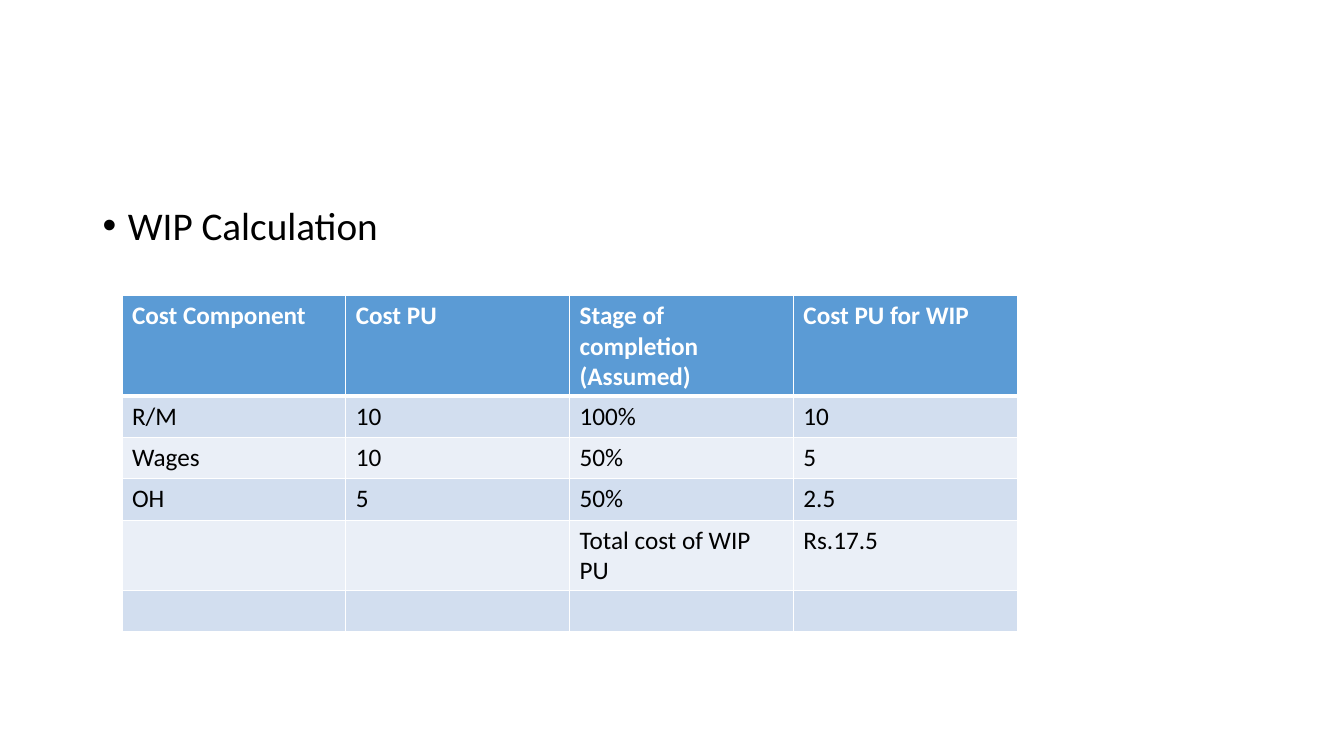
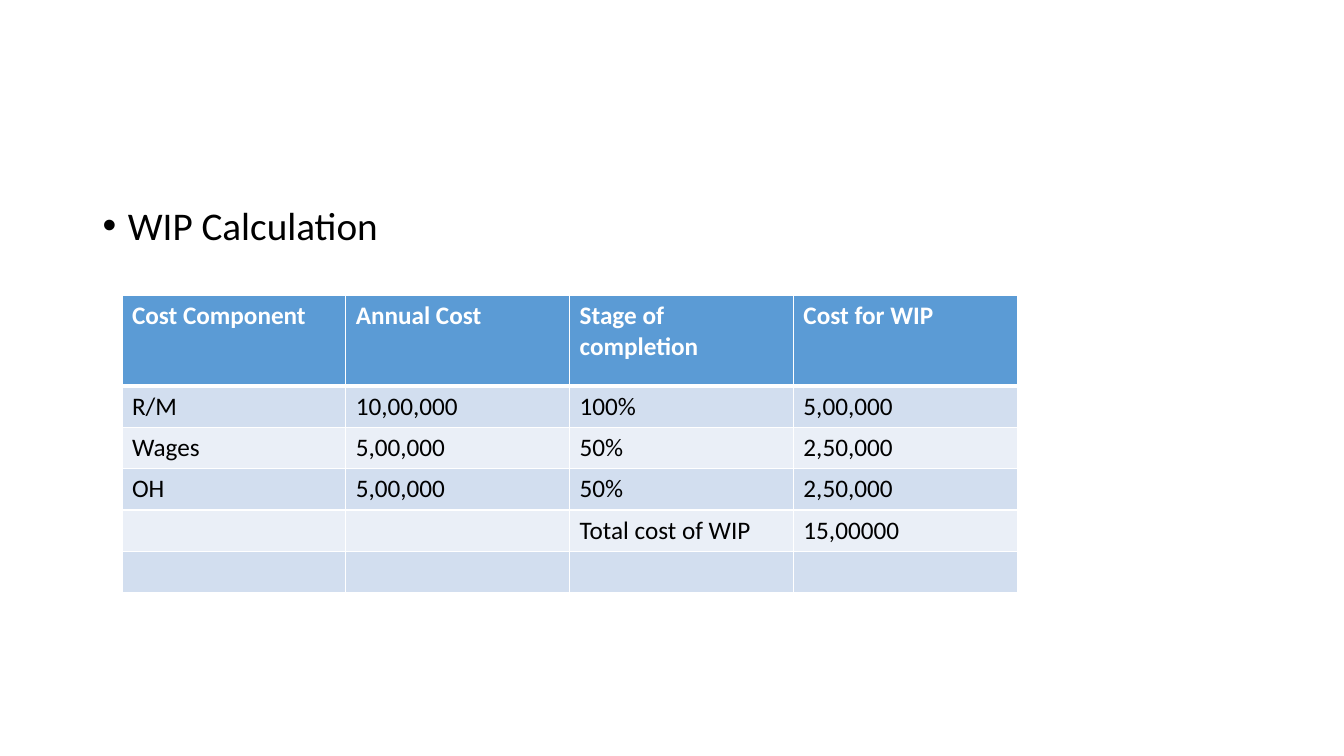
from lxml import etree
from pptx import Presentation
from pptx import util as u
from pptx.dml.color import RGBColor
from pptx.oxml.ns import qn

FONT = "Calibri"
BLACK, WHITE = "000000", "FFFFFF"
HEADER_FILL = "5B9BD5"
BAND_FILLS = ("D2DEEF", "EAEFF7")

HEADING = "WIP Calculation"
COST_TABLES = [
    [
        ("Cost Component", "Cost PU", "Stage of completion (Assumed)", "Cost PU for WIP"),
        ("R/M", "10", "100%", "10"),
        ("Wages", "10", "50%", "5"),
        ("OH", "5", "50%", "2.5"),
        ("", "", "Total cost of WIP PU", "Rs.17.5"),
        ("", "", "", ""),
    ],
    [
        ("Cost Component", "Annual Cost", "Stage of completion", "Cost for WIP"),
        ("R/M", "10,00,000", "100%", "5,00,000"),
        ("Wages", "5,00,000", "50%", "2,50,000"),
        ("OH", "5,00,000", "50%", "2,50,000"),
        ("", "", "Total cost of WIP", "15,00000"),
        ("", "", "", ""),
    ],
]

TABLE_LEFT, TABLE_TOP = u.Inches(1.21), u.Inches(2.93)
COLUMN_WIDTH = u.Inches(2.22)
HEADER_HEIGHT, ROW_HEIGHT = u.Inches(0.9), u.Inches(0.41)


def rgb(color):
    return RGBColor.from_string(color)


def add_run(paragraph, words, size, color, bold=False):
    run = paragraph.add_run()
    run.text = words
    run.font.name = FONT
    run.font.size = u.Pt(size)
    run.font.bold = bold
    run.font.color.rgb = rgb(color)


def add_heading(slide):
    box = slide.shapes.add_textbox(u.Inches(0.92), u.Inches(2), u.Inches(11.5), u.Inches(4.76))
    box.text_frame.word_wrap = True
    paragraph = box.text_frame.paragraphs[0]
    paragraph.line_spacing = 0.9
    paragraph.space_before = u.Pt(10)
    add_run(paragraph, HEADING, 28, BLACK)
    properties = paragraph._p.get_or_add_pPr()
    properties.set("marL", str(u.Inches(0.25)))
    properties.set("indent", str(-u.Inches(0.25)))
    etree.SubElement(properties, qn("a:buFont"), typeface="Arial")
    etree.SubElement(properties, qn("a:buChar"), char="•")


def set_borders(cell, widths):
    """Draw white borders; widths are points for left, right, top and bottom."""
    properties = cell._tc.get_or_add_tcPr()
    for side, width in zip("LRTB", widths):
        line = etree.SubElement(properties, qn(f"a:ln{side}"), w=str(u.Pt(width)))
        fill = etree.SubElement(line, qn("a:solidFill"))
        etree.SubElement(fill, qn("a:srgbClr"), val=WHITE)


def add_cost_table(slide, rows):
    columns = len(rows[0])
    table = slide.shapes.add_table(
        len(rows), columns, TABLE_LEFT, TABLE_TOP,
        COLUMN_WIDTH * columns, HEADER_HEIGHT + ROW_HEIGHT * (len(rows) - 1),
    ).table
    for column in table.columns:
        column.width = COLUMN_WIDTH
    for r, row in enumerate(rows):
        is_header = r == 0
        table.rows[r].height = HEADER_HEIGHT if is_header else ROW_HEIGHT
        background = HEADER_FILL if is_header else BAND_FILLS[(r - 1) % 2]
        for c, words in enumerate(row):
            cell = table.cell(r, c)
            set_borders(cell, (1, 1, 3 if r == 1 else 1, 3 if is_header else 1))
            cell.fill.solid()
            cell.fill.fore_color.rgb = rgb(background)
            if words:
                add_run(cell.text_frame.paragraphs[0], words, 18,
                        WHITE if is_header else BLACK, is_header)


def main():
    deck = Presentation()
    deck.slide_width, deck.slide_height = u.Inches(13.33), u.Inches(7.5)
    for rows in COST_TABLES:
        slide = deck.slides.add_slide(deck.slide_layouts[6])
        add_heading(slide)
        add_cost_table(slide, rows)
    deck.save("out.pptx")


if __name__ == "__main__":
    main()
